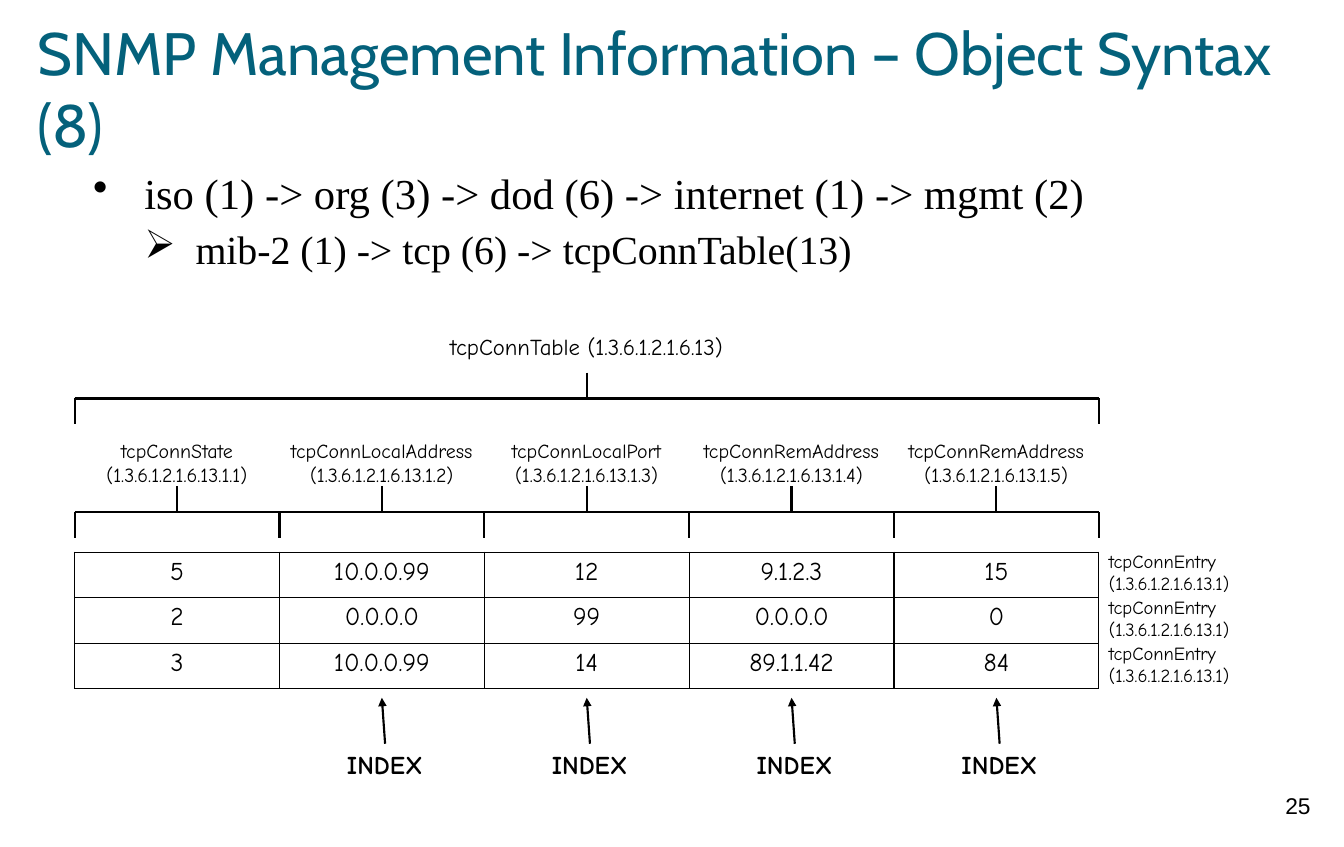
from lxml import etree
from pptx import Presentation
from pptx.dml import color
from pptx.enum import shapes, text
from pptx.oxml import ns
from pptx.util import Cm, Pt

COLORS = {"ink": "000000", "title": "04617B"}
COMIC, SERIF = "Comic Neue", "Times New Roman"
CENTER, LEFT = text.PP_ALIGN.CENTER, text.PP_ALIGN.LEFT

OID = "1.3.6.1.2.1.6.13"
COLUMNS = ["tcpConnState", "tcpConnLocalAddress", "tcpConnLocalPort",
           "tcpConnRemAddress", "tcpConnRemAddress"]
ENTRIES = [["5", "10.0.0.99", "12", "9.1.2.3", "15"],
           ["2", "0.0.0.0", "99", "0.0.0.0", "0"],
           ["3", "10.0.0.99", "14", "89.1.1.42", "84"]]
BULLETS = [("•", 30, "iso (1) -> org (3) -> dod (6) -> internet (1) -> mgmt (2)"),
           ("➢", 28, "mib-2 (1) -> tcp (6) -> tcpConnTable(13)")]
TICK = 0.64  # length of bracket stems and ticks


def rgb(name):
    return color.RGBColor.from_string(COLORS[name])


def add_span(para, words, size, font, ink="ink", bold=False):
    span = para.add_run()
    span.text = words
    span.font.size, span.font.name, span.font.bold = Pt(size), font, bold
    span.font.color.rgb = rgb(ink)


def add_box(page, left, top, width, height, inset=(0.25, 0.13)):
    box = page.shapes.add_textbox(Cm(left), Cm(top), Cm(width), Cm(height))
    frame = box.text_frame
    frame.word_wrap = True
    frame.margin_left = frame.margin_right = Cm(inset[0])
    frame.margin_top = frame.margin_bottom = Cm(inset[1])
    return box


def add_label(page, left, top, width, height, lines, size,
              align=CENTER, font=COMIC, bold=False):
    box = add_box(page, left, top, width, height)
    for number, words in enumerate(lines):
        frame = box.text_frame
        para = frame.add_paragraph() if number else frame.paragraphs[0]
        para.alignment = align
        add_span(para, words, size, font, bold=bold)
    return box


def add_line(page, x1, y1, x2, y2):
    line = page.shapes.add_connector(
        shapes.MSO_CONNECTOR.STRAIGHT, Cm(x1), Cm(y1), Cm(x2), Cm(y2))
    line.line.color.rgb = rgb("ink")
    line.line.width = Pt(1.5)
    etree.SubElement(line._element.spPr, ns.qn("a:effectLst"))
    return line


def add_title(page, left, top, width, height):
    box = add_box(page, left, top, width, height, inset=(0, 0))
    box.text_frame.vertical_anchor = text.MSO_ANCHOR.MIDDLE
    add_span(box.text_frame.paragraphs[0],
             "SNMP Management Information – Object Syntax (8)", 42, "Cabin", "title")


def add_bullets(page, left, top, width, height):
    frame = add_box(page, left, top, width, height, inset=(0, 0)).text_frame
    for level, (mark, size, words) in enumerate(BULLETS):
        para = frame.add_paragraph() if level else frame.paragraphs[0]
        para.level = level
        para.line_spacing = 1.15
        props = para._p.get_or_add_pPr()
        props.set("marL", str(Cm(1.9 + 1.27 * level)))
        props.set("indent", str(Cm(-1.27)))
        ink = etree.SubElement(props, ns.qn("a:buClr"))
        etree.SubElement(ink, ns.qn("a:srgbClr"), val=COLORS["ink"])
        etree.SubElement(props, ns.qn("a:buChar"), char=mark)
        add_span(para, words, size, SERIF)


def add_bracket(page, y, tick_xs, stem_xs):
    """Horizontal bar with ticks below it and stems above it."""
    add_line(page, tick_xs[0], y, tick_xs[-1], y)
    for x in tick_xs:
        add_line(page, x, y, x, y + TICK)
    for x in stem_xs:
        add_line(page, x, y - TICK, x, y)


def border_cell(cell):
    props = cell._tc.get_or_add_tcPr()
    for side in ("a:lnL", "a:lnR", "a:lnT", "a:lnB"):
        edge = etree.SubElement(props, ns.qn(side), w=str(Pt(1)))
        fill = etree.SubElement(edge, ns.qn("a:solidFill"))
        etree.SubElement(fill, ns.qn("a:srgbClr"), val=COLORS["ink"])


def add_entries(page, left, top, width, height):
    """Table of connections, with the entry name beside each row."""
    row_height = height / len(ENTRIES)
    table = page.shapes.add_table(len(ENTRIES), len(COLUMNS), Cm(left), Cm(top),
                                  Cm(width), Cm(height)).table
    table.first_row = table.horz_banding = False
    for r, values in enumerate(ENTRIES):
        table.rows[r].height = Cm(row_height)
        for c, value in enumerate(values):
            cell = table.cell(r, c)
            border_cell(cell)
            cell.fill.background()
            para = cell.text_frame.paragraphs[0]
            para.alignment = CENTER
            add_span(para, value, 18, COMIC)
        add_label(page, left + width, top - 0.18 + r * row_height * 1.01, 4.95, 1.37,
                  ["tcpConnEntry", f"({OID}.1)"], 13, LEFT)


def add_index(page, center, top):
    """INDEX label with an arrow up to its column."""
    box = add_label(page, center - 1.29, top, 2.74, 1.02, ["INDEX"], 18, bold=True)
    arrow = add_line(page, center, top, center, top - 1.14)
    arrow.begin_connect(box, 0)
    etree.SubElement(arrow.line._get_or_add_ln(), ns.qn("a:tailEnd"), type="triangle")


def add_tree(page, left, top, width):
    """Object tree: table name, column names, entries and index marks."""
    step = width / len(COLUMNS)
    edges = [left + i * step for i in range(len(COLUMNS) + 1)]
    centers = [edge + step / 2 for edge in edges[:-1]]
    middle = left + width / 2

    add_label(page, middle - 4.38, top, 8.76, 0.94, [f"tcpConnTable ({OID})"], 16)
    add_bracket(page, top + 1.75, [edges[0], edges[-1]], [middle])
    for number, (name, center) in enumerate(zip(COLUMNS, centers), 1):
        add_label(page, center - 2.92, top + 2.61, 5.84, 1.45,
                  [name, f"({OID}.1.{number})"], 14)
    add_bracket(page, top + 4.57, edges, centers)
    add_entries(page, left, top + 5.56, width, 3.39)
    for center in centers[1:]:
        add_index(page, center, top + 10.31)


def main():
    deck = Presentation()
    deck.slide_width, deck.slide_height = Cm(33.33), Cm(21)
    page = deck.slides.add_slide(deck.slide_layouts[6])
    add_title(page, 0.94, 0.43, 31.52, 3.5)
    add_bullets(page, 1.68, 3.94, 30.07, 2.95)
    add_tree(page, 1.85, 8.13, 25.4)
    add_label(page, 31.19, 19.5, 2, 1.6, ["25"], 16, font="Arial")
    deck.save("out.pptx")


if __name__ == "__main__":
    main()
